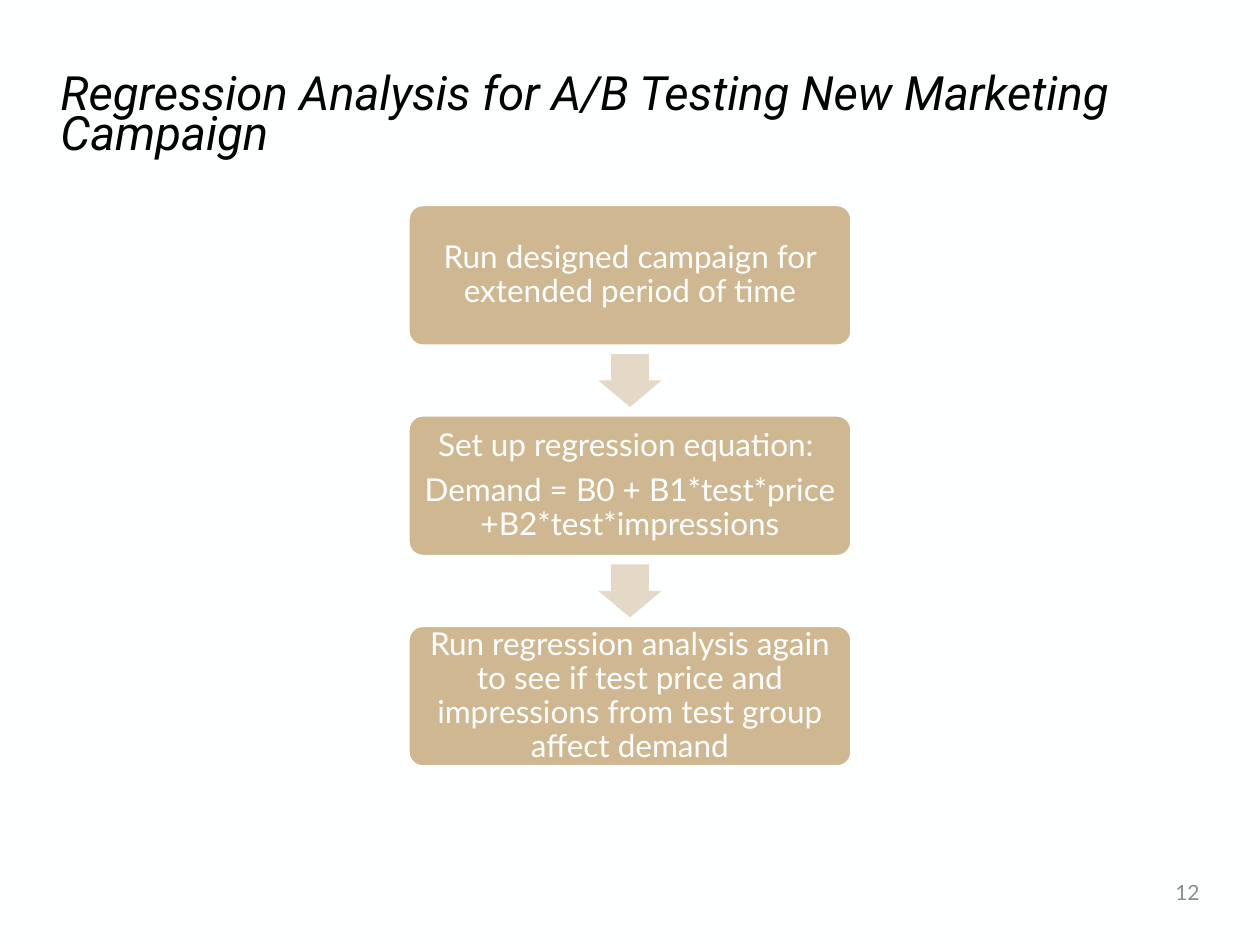
from dataclasses import dataclass

from pptx import Presentation
from pptx.dml.color import RGBColor
from pptx.enum.shapes import MSO_SHAPE
from pptx.enum.text import MSO_ANCHOR, MSO_AUTO_SIZE, PP_ALIGN
from pptx.util import Inches, Pt

WIDTH, HEIGHT = 10, 7.5
WHITE, GOLD, PALE_GOLD, BLACK, GREY = "FEFFFF", "CFB891", "E4D8C7", "000000", "8C8C8C"
STEP_TOP, STEP_PITCH = 1.63, 1.67
STEP_WIDTH, STEP_HEIGHT = 3.51, 1.11
ARROW_WIDTH, ARROW_HEIGHT = 0.5, 0.42


@dataclass
class TextStyle:
    font: str
    size: float
    color: str
    align: PP_ALIGN
    line_spacing: float = 1.0
    space_after: float = 0
    italic: bool = False
    inset: float = 0.1


TITLE = TextStyle("Roboto", 27, BLACK, PP_ALIGN.LEFT, line_spacing=0.7, italic=True)
STEP = TextStyle("Lato", 18, WHITE, PP_ALIGN.CENTER, line_spacing=0.9,
                 space_after=6.3, inset=0.07)
PAGE_NUMBER = TextStyle("Lato", 12, GREY, PP_ALIGN.RIGHT)

STEPS = [
    "Run designed campaign for extended period of time",
    "Set up regression equation: \nDemand = B0 + B1*test*price +B2*test*impressions",
    "Run regression analysis again to see if test price and "
    "impressions from test group affect demand",
]


def paint(fill, color: str) -> None:
    fill.solid()
    fill.fore_color.rgb = RGBColor.from_string(color)


def write(box, text: str, style: TextStyle) -> None:
    frame = box.text_frame
    frame.text = text
    frame.word_wrap = True
    frame.auto_size = MSO_AUTO_SIZE.NONE
    frame.vertical_anchor = MSO_ANCHOR.MIDDLE
    frame.margin_left = frame.margin_right = Inches(style.inset)
    frame.margin_top = frame.margin_bottom = Inches(min(style.inset, 0.07))
    for para in frame.paragraphs:
        para.alignment = style.align
        para.line_spacing = style.line_spacing
        para.space_before = Pt(0)
        para.space_after = Pt(style.space_after)
        for span in para.runs:
            span.font.name = style.font
            span.font.size = Pt(style.size)
            span.font.italic = style.italic
            span.font.color.rgb = RGBColor.from_string(style.color)


def add_centered(page, kind: MSO_SHAPE, top: float, width: float, height: float,
                 color: str, adjustments: list[float]):
    shape = page.shapes.add_shape(kind, Inches((WIDTH - width) / 2), Inches(top),
                                  Inches(width), Inches(height))
    shape.shadow.inherit = False
    paint(shape.fill, color)
    shape.line.fill.background()
    for index, value in enumerate(adjustments):
        shape.adjustments[index] = value
    return shape


def add_step(page, row: int, text: str) -> None:
    box = add_centered(page, MSO_SHAPE.ROUNDED_RECTANGLE, STEP_TOP + row * STEP_PITCH,
                       STEP_WIDTH, STEP_HEIGHT, GOLD, [0.1])
    paint(box.line.fill, WHITE)
    box.line.width = Pt(1)
    write(box, text, STEP)


def add_arrow(page, row: int) -> None:
    gap = STEP_PITCH - STEP_HEIGHT
    top = STEP_TOP + row * STEP_PITCH - (gap + ARROW_HEIGHT) / 2
    add_centered(page, MSO_SHAPE.DOWN_ARROW, top, ARROW_WIDTH, ARROW_HEIGHT,
                 PALE_GOLD, [0.6, 0.5])


def main() -> None:
    deck = Presentation()
    deck.slide_width, deck.slide_height = Inches(WIDTH), Inches(HEIGHT)
    page = deck.slides.add_slide(deck.slide_layouts[5])
    paint(page.background.fill, WHITE)

    title = page.shapes.title
    title.left, title.top = Inches(0.38), Inches(0.62)
    title.width, title.height = Inches(9.24), Inches(0.64)
    write(title, "Regression Analysis for A/B Testing New Marketing Campaign", TITLE)

    for row, text in enumerate(STEPS):
        if row:
            add_arrow(page, row)
        add_step(page, row, text)

    number = page.shapes.add_textbox(Inches(8.42), Inches(6.88), Inches(1.2), Inches(0.4))
    write(number, "12", PAGE_NUMBER)
    deck.save("out.pptx")


if __name__ == "__main__":
    main()
